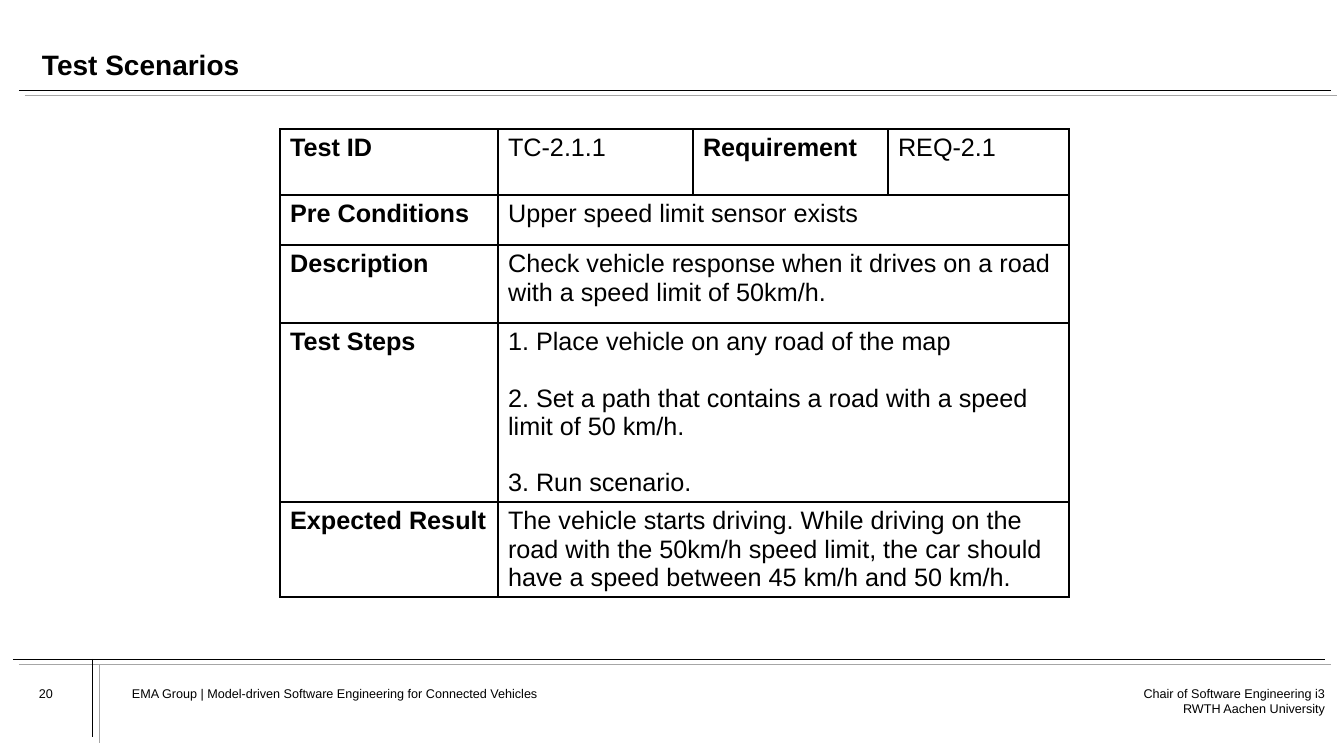
from dataclasses import dataclass

from lxml import etree
from pptx import Presentation
from pptx.dml.color import RGBColor
from pptx.enum.shapes import MSO_CONNECTOR
from pptx.enum.text import MSO_ANCHOR, MSO_AUTO_SIZE, PP_ALIGN
from pptx.oxml.ns import qn
from pptx.util import Emu, Pt

STRAIGHT = MSO_CONNECTOR.STRAIGHT
LEFT, RIGHT = PP_ALIGN.LEFT, PP_ALIGN.RIGHT
TOP, BOTTOM = MSO_ANCHOR.TOP, MSO_ANCHOR.BOTTOM
NO_FIT = MSO_AUTO_SIZE.NONE
PX_PER_INCH = 100.8


@dataclass(frozen=True)
class Theme:
    font: str = "Arial"
    ink: str = "000000"
    echo: str = "A6A6A6"
    title: int = 20
    body: int = 18
    footer: int = 9
    rule: float = 0.5
    border: float = 1


THEME = Theme()

COLUMNS = [218, 195, 195, 181]
# Row height, then the cell texts; a list holds several paragraphs
ROWS = [
    (66, ["Test ID", "TC-2.1.1", "Requirement", "REQ-2.1"]),
    (50, ["Pre Conditions", "Upper speed limit sensor exists"]),
    (78, ["Description",
          "Check vehicle response when it drives on a road with a speed limit of 50km/h."]),
    (179, ["Test Steps",
           ["1. Place vehicle on any road of the map",
            "2. Set a path that contains a road with a speed limit of 50 km/h.",
            "3. Run scenario."]]),
    (95, ["Expected Result",
          "The vehicle starts driving. While driving on the road with the 50km/h "
          "speed limit, the car should have a speed between 45 km/h and 50 km/h."]),
]


def px(n):
    return Emu(round(n * 914400 / PX_PER_INCH))


def apply(target, values):
    for name, value in values.items():
        setattr(target, name, value)


def write(tf, lines, size, bold=False, gap=0, **paragraph_format):
    """Fill a text frame with one paragraph per line, gap points apart."""
    for i, line in enumerate(lines):
        p = tf.paragraphs[0] if i == 0 else tf.add_paragraph()
        apply(p, {"space_before": Pt(gap if i else 0), **paragraph_format})
        r = p.add_run()
        r.text = line
        apply(r.font, {"name": THEME.font, "size": Pt(size), "bold": bold})
        r.font.color.rgb = RGBColor.from_string(THEME.ink)


def set_frame(tf, anchor):
    apply(tf, {"word_wrap": True, "auto_size": NO_FIT, "vertical_anchor": anchor,
               "margin_left": 0, "margin_right": 0, "margin_top": 0, "margin_bottom": 0})


def add_label(slide, box, lines, align=LEFT):
    tf = slide.shapes.add_textbox(*map(px, box)).text_frame
    set_frame(tf, TOP)
    write(tf, lines, THEME.footer, alignment=align)


def add_double_rule(slide, x, y, dx, dy, shift):
    """Draw a dark rule and its paler echo, moved by shift."""
    for step, color in enumerate((THEME.ink, THEME.echo)):
        left, top = x + step * shift[0], y + step * shift[1]
        line = slide.shapes.add_connector(
            STRAIGHT, px(left), px(top), px(left + dx), px(top + dy))
        line.line.color.rgb = RGBColor.from_string(color)
        line.line.width = Pt(THEME.rule)
        etree.SubElement(line._element.spPr, qn("a:effectLst"))


def add_header(slide, x, y, w, h):
    add_double_rule(slide, x, y + h, w, 0, (6, 5))
    title = slide.shapes.title
    apply(title, {"left": px(x + 23), "top": px(y), "width": px(w - 46), "height": px(h - 8)})
    set_frame(title.text_frame, BOTTOM)
    write(title.text_frame, ["Test Scenarios"], THEME.title, bold=True,
          alignment=LEFT, line_spacing=0.9)


def add_footer(slide, x, y, w, h):
    add_double_rule(slide, x, y, w, 0, (6, 5))
    add_double_rule(slide, x + 79, y, 0, h, (7, 6))
    text_top = y + 27
    add_label(slide, (x + 26, text_top, 50, 43), ["20"])
    add_label(slide, (x + 119, text_top, 772, 60),
              ["EMA Group | Model-driven Software Engineering for Connected Vehicles"])
    add_label(slide, (x + w - 217, text_top, 217, 60),
              ["Chair of Software Engineering i3", "RWTH Aachen University"], RIGHT)


def set_borders(cell):
    tc_pr = cell._tc.get_or_add_tcPr()
    for i, side in enumerate("LRTB"):
        ln = etree.Element(qn(f"a:ln{side}"), w=str(Pt(THEME.border)))
        fill = etree.SubElement(ln, qn("a:solidFill"))
        etree.SubElement(fill, qn("a:srgbClr"), val=THEME.ink)
        tc_pr.insert(i, ln)


def add_test_case(slide, x, y):
    heights = [height for height, _ in ROWS]
    table = slide.shapes.add_table(
        len(ROWS), len(COLUMNS), px(x), px(y), px(sum(COLUMNS)), px(sum(heights))).table
    apply(table, {"first_row": False, "horz_banding": False})
    for column, width in zip(table.columns, COLUMNS):
        column.width = px(width)
    for row, height in zip(table.rows, heights):
        row.height = px(height)
    for cell in table.iter_cells():
        cell.fill.background()
        set_borders(cell)

    # Label columns are bold; a lone value spans the rest of its row
    for r, (_, texts) in enumerate(ROWS):
        if len(texts) == 2:
            table.cell(r, 1).merge(table.cell(r, len(COLUMNS) - 1))
        for c, text in enumerate(texts):
            lines = text if isinstance(text, list) else [text]
            write(table.cell(r, c).text_frame, lines, THEME.body, bold=c % 2 == 0, gap=20)


def main():
    prs = Presentation()
    apply(prs, {"slide_width": px(1344), "slide_height": px(756)})
    slide = prs.slides.add_slide(prs.slide_layouts[5])
    add_header(slide, 19, 22, 1312, 68)
    add_test_case(slide, 280, 129)
    add_footer(slide, 13, 659, 1312, 78)
    prs.save("out.pptx")


if __name__ == "__main__":
    main()
